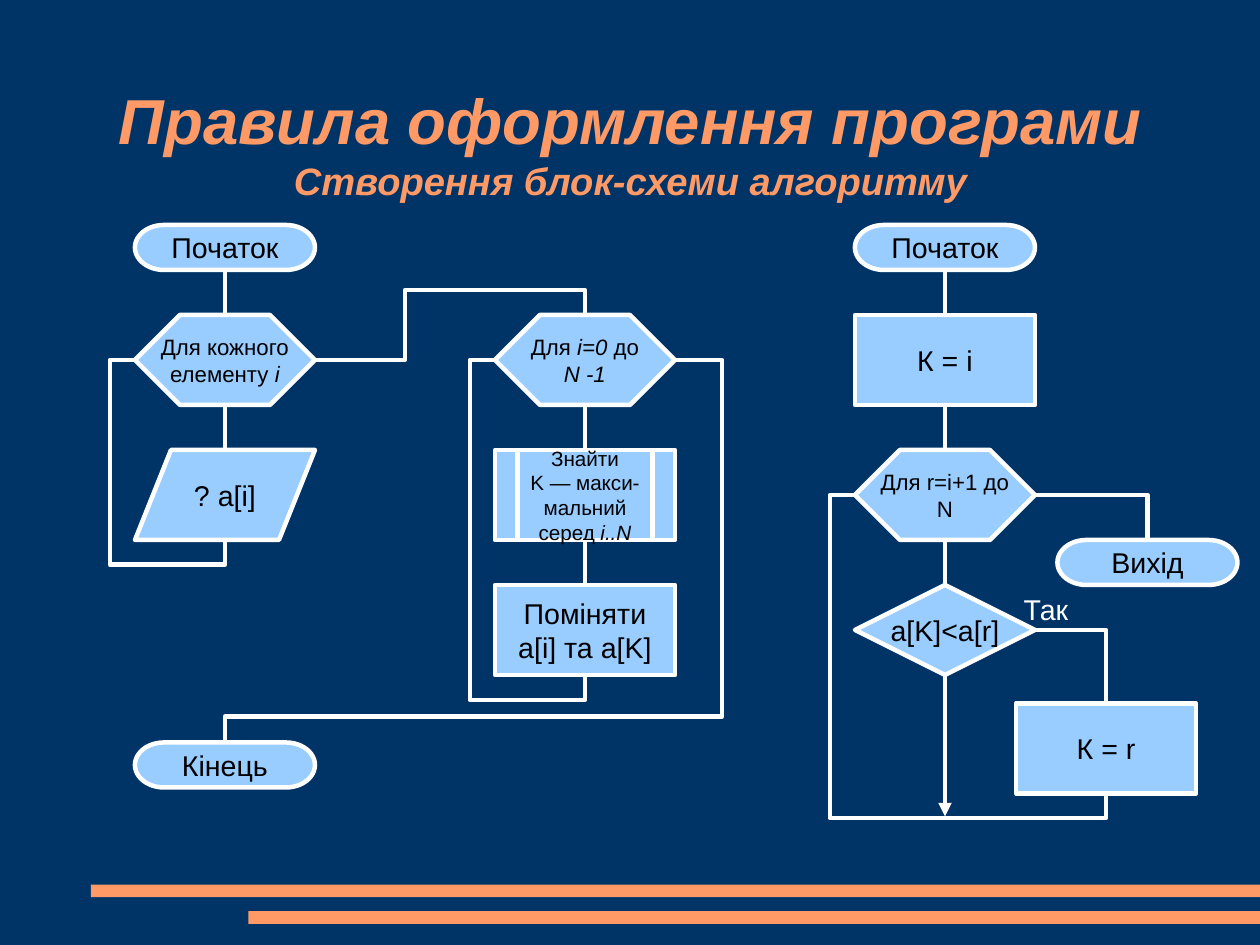
from lxml.etree import SubElement
from pptx import Presentation
from pptx.dml.color import RGBColor
from pptx.enum.shapes import MSO_CONNECTOR as Link, MSO_SHAPE as Kind
from pptx.enum.text import MSO_ANCHOR as Anchor, MSO_AUTO_SIZE as AutoSize, PP_ALIGN as Align
from pptx.oxml.ns import qn
from pptx.util import Cm, Pt

NAVY, ORANGE, SKY, WHITE, BLACK = "003366", "FF9966", "99CCFF", "FFFFFF", "000000"
BLOCK_WIDTH = 4
TERMINAL, PROCESS, LOOP = Kind.FLOWCHART_TERMINATOR, Kind.FLOWCHART_PROCESS, Kind.HEXAGON
SUBROUTINE, INPUT = Kind.FLOWCHART_PREDEFINED_PROCESS, Kind.FLOWCHART_DATA
FOUR_SITES = (TERMINAL, PROCESS, SUBROUTINE, Kind.DIAMOND)


def color(value):
    """Turn a hex string into a colour."""
    return RGBColor.from_string(value)


def style_font(font, size, value):
    """Set typeface, size and colour."""
    font.name = "Arial"
    font.size = Pt(size)
    font.color.rgb = color(value)


def add_title(slide, heading, subheading):
    """Fill the title placeholder with a heading and a smaller second line."""
    title = slide.shapes.title
    title.left, title.top, title.width, title.height = Cm(2.06), Cm(0.8), Cm(23.9), Cm(4.72)
    frame = title.text_frame
    frame.margin_left = frame.margin_right = frame.margin_top = frame.margin_bottom = 0
    frame.vertical_anchor = Anchor.MIDDLE
    frame.auto_size = AutoSize.NONE
    paragraph = frame.paragraphs[0]
    paragraph.alignment = Align.CENTER
    style_font(paragraph.font, 40, ORANGE)
    paragraph.font.bold = paragraph.font.italic = True
    paragraph.add_run().text = heading
    paragraph.add_line_break()
    second_line = paragraph.add_run()
    second_line.text = subheading
    second_line.font.size = Pt(24)


def add_bar(slide, left, top):
    """Draw a footer bar that runs to the right edge."""
    bar = slide.shapes.add_shape(Kind.RECTANGLE, Cm(left), Cm(top), Cm(28 - left), Cm(0.28))
    bar.shadow.inherit = False
    bar.fill.solid()
    bar.fill.fore_color.rgb = color(ORANGE)
    bar.line.fill.background()


def add_block(slide, kind, center, top, lines, size=18):
    """Draw a flowchart block; asterisks in its lines enclose italics."""
    height = 1 if kind == TERMINAL else 2
    block = slide.shapes.add_shape(
        kind, Cm(center - BLOCK_WIDTH / 2), Cm(top), Cm(BLOCK_WIDTH), Cm(height))
    if kind == LOOP:
        block.adjustments[0] = 0.5
    block.shadow.inherit = False
    block.fill.solid()
    block.fill.fore_color.rgb = color(SKY)
    block.line.color.rgb = color(WHITE)
    block.line.width = Pt(2.83)
    frame = block.text_frame
    frame.word_wrap = False
    frame.vertical_anchor = Anchor.MIDDLE
    frame.margin_left = frame.margin_right = Cm(0.3)
    frame.margin_top = frame.margin_bottom = Cm(0.18)
    for index, line in enumerate(lines):
        paragraph = frame.add_paragraph() if index else frame.paragraphs[0]
        paragraph.alignment = Align.CENTER
        style_font(paragraph.font, size, BLACK)
        for part, text in enumerate(line.split("*")):
            if text:
                run = paragraph.add_run()
                run.text = text
                if part % 2:
                    run.font.italic = True
    return block


def side(block, name):
    """Return the middle of a block's side."""
    x, y = block.left + block.width // 2, block.top + block.height // 2
    return {"top": (x, block.top), "left": (block.left, y),
            "bottom": (x, block.top + block.height),
            "right": (block.left + block.width, y)}[name]


def add_link(slide, kind, start, end):
    """Draw a white connector between two points."""
    link = slide.shapes.add_connector(kind, *start, *end)
    link.line.color.rgb = color(WHITE)
    link.line.width = Pt(2.83)
    SubElement(link._element.spPr, qn("a:effectLst"))
    return link


def add_drop(slide, upper, lower):
    """Join two stacked blocks with a straight line."""
    drop = add_link(slide, Link.STRAIGHT, side(upper, "bottom"), side(lower, "top"))
    if upper.auto_shape_type in FOUR_SITES:
        drop.begin_connect(upper, 2)
    if lower.auto_shape_type in FOUR_SITES:
        drop.end_connect(lower, 0)


def add_route(slide, start, end, turn=None):
    """Draw an elbow line leaving sideways and ending vertically, via a turn point in cm."""
    route = add_link(slide, Link.ELBOW, start, end)
    geometry = route._element.spPr.find(qn("a:prstGeom"))
    geometry.set("prst", "bentConnector4" if turn else "bentConnector2")
    if turn:
        guides = geometry.find(qn("a:avLst"))
        for index, (at, first, last) in enumerate(zip(turn, start, end), 1):
            ratio = round(100000 * (Cm(at) - first) / (last - first))
            SubElement(guides, qn("a:gd"), name=f"adj{index}", fmla=f"val {ratio}")


def add_arrow(slide, start, end):
    """Draw a straight line with an arrowhead."""
    arrow = add_link(slide, Link.STRAIGHT, start, end)
    SubElement(arrow.line._get_or_add_ln(), qn("a:tailEnd"), type="triangle")
    return arrow


def add_label(slide, left, top, text):
    """Write a branch label."""
    label = slide.shapes.add_textbox(Cm(left), Cm(top), Cm(1.5), Cm(0.97))
    label.text_frame.word_wrap = False
    paragraph = label.text_frame.paragraphs[0]
    style_font(paragraph.font, 18, WHITE)
    paragraph.add_run().text = text


def draw_sorting(slide):
    """Draw the main algorithm in the two left columns."""
    begin = add_block(slide, TERMINAL, 5, 5, ["Початок"])
    each = add_block(slide, LOOP, 5, 7, ["Для кожного", "елементу *і*"], 14)
    ask = add_block(slide, INPUT, 5, 10, ["? a[i]"])
    finish = add_block(slide, TERMINAL, 5, 16.5, ["Кінець"])
    count = add_block(slide, LOOP, 13, 7, ["Для *і=0 *до", "*N -1*"], 14)
    find = add_block(slide, SUBROUTINE, 13, 10,
                     ["Знайти", "K — макси-", "мальний", "серед *i..N*"], 13)
    swap = add_block(slide, PROCESS, 13, 13, ["Поміняти", "a[i] та a[K]"])
    for upper, lower in ((begin, each), (each, ask), (count, find), (find, swap)):
        add_drop(slide, upper, lower)
    add_route(slide, side(each, "left"), side(ask, "bottom"), (2.44, 12.55))
    add_route(slide, side(each, "right"), side(count, "top"), (9, 6.45))
    add_route(slide, side(count, "left"), side(swap, "bottom"), (10.44, 15.55))
    add_route(slide, side(count, "right"), side(finish, "top"), (16.05, 15.92))


def draw_maximum_search(slide):
    """Draw the subroutine in the right column."""
    begin = add_block(slide, TERMINAL, 21, 5, ["Початок"])
    initial = add_block(slide, PROCESS, 21, 7, ["К = і"])
    scan = add_block(slide, LOOP, 21, 10, ["Для r=i+1 до", "N"], 14)
    compare = add_block(slide, Kind.DIAMOND, 21, 13, ["a[K]<a[r]"])
    update = add_block(slide, PROCESS, 24.58, 15.63, ["К = r"])
    leave = add_block(slide, TERMINAL, 25.5, 12, ["Вихід"])
    add_label(slide, 22.5, 13.03, "Так")
    for upper, lower in ((begin, initial), (initial, scan), (scan, compare)):
        add_drop(slide, upper, lower)
    add_route(slide, side(compare, "right"), side(update, "top"))
    add_route(slide, side(scan, "left"), side(update, "bottom"), (18.44, 18.18))
    add_route(slide, side(scan, "right"), side(leave, "top"))
    arrow = add_arrow(slide, side(compare, "bottom"), (Cm(21), Cm(18.14)))
    arrow.begin_connect(compare, 2)


def main():
    """Build and save the slide."""
    deck = Presentation()
    deck.slide_width, deck.slide_height = Cm(28), Cm(21)
    slide = deck.slides.add_slide(deck.slide_layouts[5])
    slide.background.fill.solid()
    slide.background.fill.fore_color.rgb = color(NAVY)
    add_bar(slide, 2.02, 19.66)
    add_bar(slide, 5.52, 20.25)
    add_title(slide, "Правила оформлення програми", "Створення блок-схеми алгоритму")
    draw_sorting(slide)
    draw_maximum_search(slide)
    deck.save("out.pptx")


if __name__ == "__main__":
    main()
